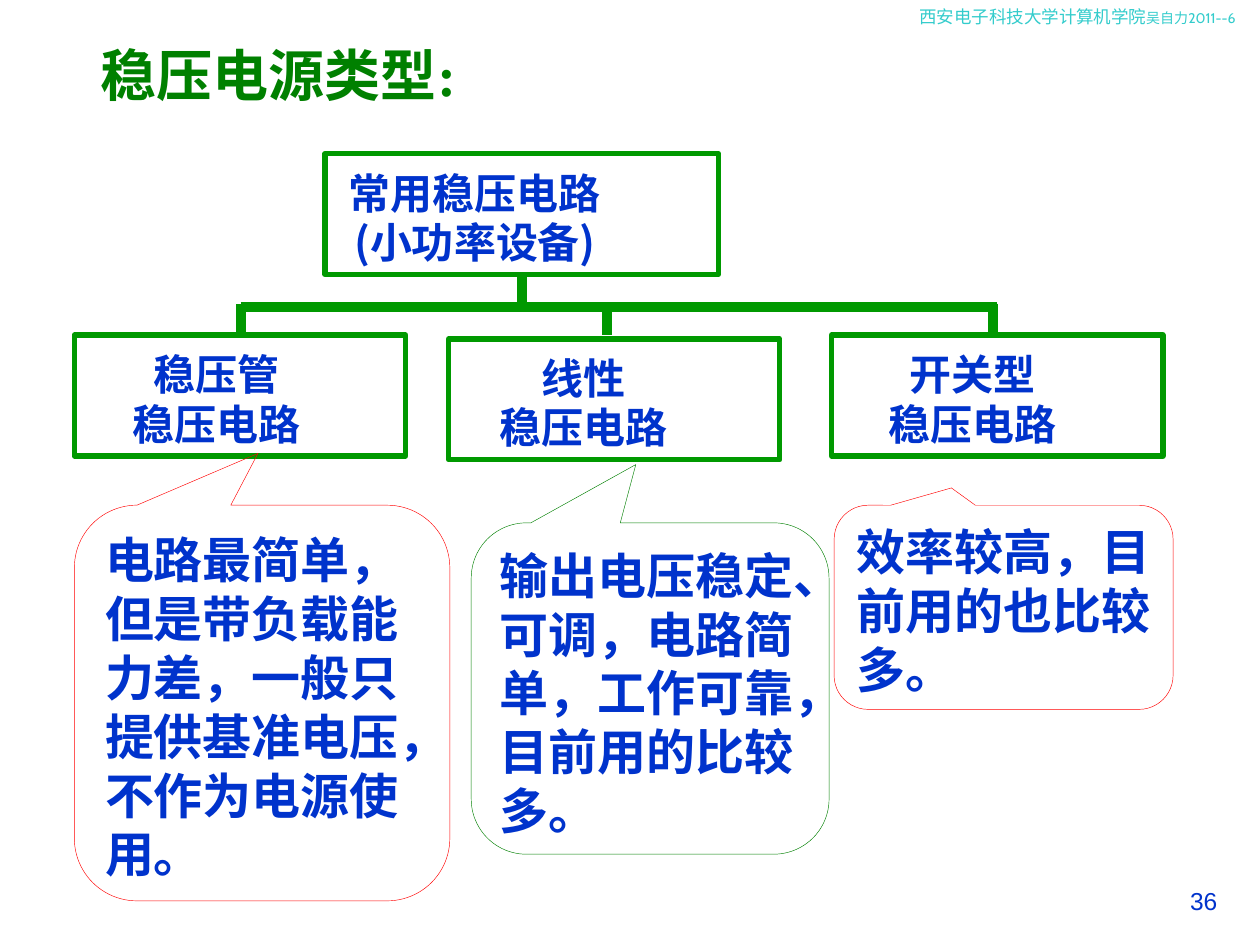
from lxml.etree import SubElement
from pptx import Presentation
from pptx.dml.color import RGBColor
from pptx.enum.shapes import MSO_CONNECTOR as Line, MSO_SHAPE as Shape
from pptx.enum.text import MSO_ANCHOR as Anchor, PP_ALIGN as Align
from pptx.oxml.ns import qn
from pptx.util import Inches, Pt

BLUE, GREEN, DARK, RED, TEAL = "0033CC", "009900", "008000", "FF0000", "33CCCC"
SANS, SERIF = "Noto Sans CJK SC", "Times New Roman"

TITLE = "稳压电源类型:"
HEAD = [("西安电子科技大学计算机学院", 10), ("吴自力2011--6", 8)]
PAGE = "36"

# left, top, width of the box; centre of its text; lines
HEIGHT = 0.96
BOXES = [
    (2.58, 1.22, 3.12, 3.77, ["常用稳压电路", "(小功率设备)"]),
    (0.59, 2.66, 2.63, 1.72, ["稳压管", "稳压电路"]),
    (3.56, 2.69, 2.63, 4.63, ["线性", "稳压电路"]),
    (6.6, 2.66, 2.63, 7.72, ["开关型", "稳压电路"]),
]

# trunk and bar, then the x of each branch
BAR = 2.44
STEM = 4.14
BRANCHES = [1.91, 4.82, 7.88]

# left, top, width, height; tip of the pointer; line colour; text
NOTES = [
    (0.59, 4.01, 2.98, 3.14, (-0.011, -0.631), RED,
     "电路最简单，但是带负载能力差，一般只提供基准电压，不作为电源使用。"),
    (6.62, 4.01, 2.69, 1.62, (-0.154, -0.585), RED,
     "效率较高，目前用的也比较多。"),
    (3.74, 4.15, 2.84, 2.63, (-0.04, -0.676), DARK,
     "输出电压稳定、可调，电路简单，工作可靠，目前用的比较多。"),
]


def rgb(code):
    return RGBColor.from_string(code)


def inches(*nums):
    return [Inches(n) for n in nums]


def write(frame, runs, font, color, bold=False, align=Align.LEFT,
          inset=(0.1, 0.05), wrap=True, anchor=Anchor.TOP):
    """Fill a text frame with one paragraph of (text, size) runs."""
    frame.word_wrap = wrap
    frame.vertical_anchor = anchor
    frame.margin_left = frame.margin_right = Inches(inset[0])
    frame.margin_top = frame.margin_bottom = Inches(inset[1])
    para = frame.paragraphs[0]
    para.alignment = align
    para.space_before = Pt(0)
    for text, size in runs:
        run = para.add_run()
        run.text = text
        run.font.size = Pt(size)
        run.font.bold = bold
        run.font.color.rgb = rgb(color)
        run.font.name = font
        SubElement(run.font._element, qn("a:ea"), typeface=SANS)


def outline(slide, kind, place, color, width):
    shape = slide.shapes.add_shape(kind, *inches(*place))
    shape.shadow.inherit = False
    shape.fill.background()
    shape.line.color.rgb = rgb(color)
    shape.line.width = Pt(width)
    return shape


def link(slide, *ends):
    line = slide.shapes.add_connector(Line.STRAIGHT, *inches(*ends))
    line.line.color.rgb = rgb(GREEN)
    line.line.width = Pt(5.75)
    SubElement(line._element.spPr, qn("a:effectLst"))


def label(slide, place, *args, **more):
    box = slide.shapes.add_textbox(*inches(*place))
    write(box.text_frame, *args, **more)


def main():
    deck = Presentation()
    deck.slide_width, deck.slide_height = inches(10, 7.5)
    slide = deck.slides.add_slide(deck.slide_layouts[5])

    title = slide.shapes.title
    title.left, title.top, title.width, title.height = inches(0.65, 0.27, 3.12, 0.64)
    write(title.text_frame, [(TITLE, 32)], SERIF, DARK, True, Align.CENTER,
          wrap=False, anchor=Anchor.MIDDLE)
    label(slide, (7.2, 0, 2.8, 0.27), HEAD, "Cabin", TEAL)

    link(slide, STEM, 2.18, STEM, BAR)
    link(slide, BRANCHES[0], BAR, BRANCHES[-1] + 0.03, BAR)
    for x in BRANCHES:
        link(slide, x, BAR - 0.03, x, BAR + 0.22)

    for left, top, width, mid, lines in BOXES:
        outline(slide, Shape.RECTANGLE, (left, top, width, HEIGHT), GREEN, 3)
        for i, text in enumerate(lines):
            wide = len(text) * 24 / 72
            place = (mid - wide / 2, top + 0.11 + i * 0.39, wide, 0.4)
            label(slide, place, [(text, 24)], SANS, BLUE, True, Align.CENTER,
                  inset=(0, 0), wrap=False)

    for *place, tip, color, text in NOTES:
        note = outline(slide, Shape.ROUNDED_RECTANGULAR_CALLOUT, place, color, 0.25)
        note.adjustments[0], note.adjustments[1] = tip
        write(note.text_frame, [(text, 28)], SERIF, BLUE, True)

    label(slide, (9.17, 6.98, 0.59, 0.44), [(PAGE, 14)], "Arial", BLUE,
          align=Align.RIGHT)
    deck.save("out.pptx")


if __name__ == "__main__":
    main()
